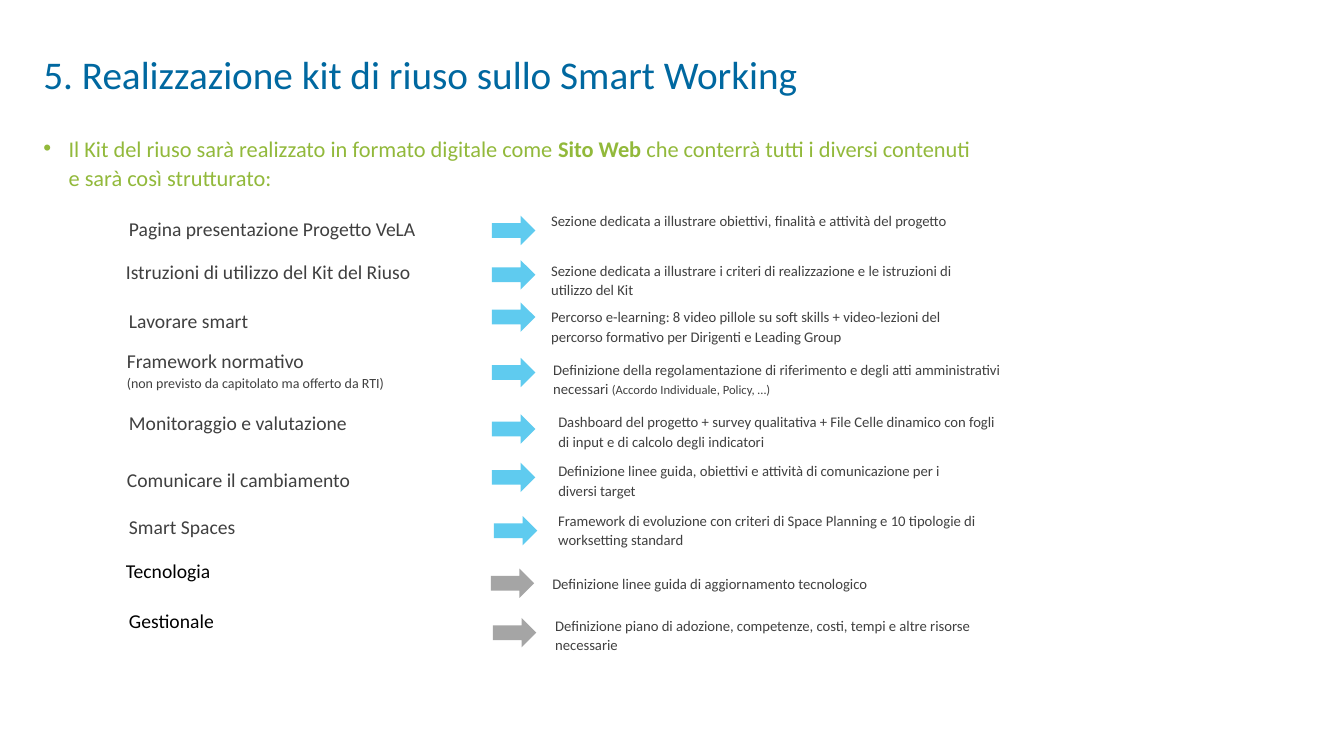
"""Build the slide on the contents of the Smart Working reuse kit."""
from lxml.etree import SubElement
from pptx import Presentation
from pptx.dml.color import RGBColor
from pptx.enum.shapes import MSO_SHAPE as Shape
from pptx.enum.text import MSO_ANCHOR as Anchor, MSO_AUTO_SIZE as AutoSize, PP_ALIGN as Align
from pptx.oxml.ns import qn
from pptx.util import Pt

COLORS = {"title": "0068A0", "intro": "92B93B", "text": "404040",
          "black": "000000", "blue": "5FCBEF", "gray": "A5A5A5"}
FONT = "Calibri"
TITLE = "5. Realizzazione kit di riuso sullo Smart Working"
INTRO = [("Il Kit del riuso sarà realizzato in formato digitale come ", {}),
         ("Sito Web ", {"bold": True}),
         ("che conterrà tutti i diversi contenuti e sarà così strutturato:", {})]

LABELS = [
    ("Pagina presentazione Progetto VeLA", 49, 149.8),
    ("Istruzioni di utilizzo del Kit del Riuso", 46.8, 180.7),
    ("Lavorare smart", 49, 215.3),
    ("Framework normativo", 47.5, 244.1),
    ("Monitoraggio e valutazione", 49, 288),
    ("Comunicare il cambiamento", 47.5, 329),
    ("Smart Spaces", 49, 362.2),
    ("Tecnologia", 46.8, 393.8),
    ("Gestionale", 49, 429.8),
]
LABEL_NOTES = {"Framework normativo": "(non previsto da capitolato ma offerto da RTI)"}
PLANNED = ("Tecnologia", "Gestionale")

ARROWS = [(351.4, 154.1), (351.4, 185.8), (351.4, 216), (351.4, 255.6), (351.4, 295.9),
          (351.4, 330.5), (352.8, 368.6), (350.6, 406.1), (352.1, 441.4)]

DETAILS = [
    ("Sezione dedicata a illustrare obiettivi, finalità e attività del progetto",
     350.6, 146.2, 350),
    ("Sezione dedicata a illustrare i criteri di realizzazione e le istruzioni di "
     "utilizzo del Kit", 350.6, 182.2, 350),
    ("Percorso e-learning: 8 video pillole su soft skills + video-lezioni del "
     "percorso formativo per Dirigenti e Leading Group", 350.6, 215.3, 350),
    ("Definizione della regolamentazione di riferimento e degli atti amministrativi "
     "necessari ", 352.1, 252.7, 370),
    ("Dashboard del progetto + survey qualitativa + File Celle dinamico con fogli "
     "di input e di calcolo degli indicatori", 355.7, 290.2, 370),
    ("Definizione linee guida, obiettivi e attività di comunicazione per i "
     "diversi target", 355.7, 325.4, 348),
    ("Framework di evoluzione con criteri di Space Planning e 10 tipologie di "
     "worksetting standard", 355.7, 360.7, 378.7),
    ("Definizione linee guida di aggiornamento tecnologico", 351.4, 406.1, 370),
    ("Definizione piano di adozione, competenze, costi, tempi e altre risorse "
     "necessarie", 353.5, 435.6, 370),
]
DETAIL_NOTES = {3: "(Accordo Individuale, Policy, …)"}


def add_text(para, text, size=14, color="text", bold=False):
    span = para.add_run()
    span.text = text
    span.font.name = FONT
    span.font.size = Pt(size)
    span.font.bold = bold
    span.font.color.rgb = RGBColor.from_string(COLORS[color])


def place(box, left, top, width, height):
    box.left, box.top, box.width, box.height = Pt(left), Pt(top), Pt(width), Pt(height)


def first_paragraph(box, anchor=Anchor.TOP, spacing=1.1, margin=0, indent=0):
    frame = box.text_frame
    frame.word_wrap = True
    frame.auto_size = AutoSize.NONE
    frame.vertical_anchor = anchor
    para = frame.paragraphs[0]
    para.alignment = Align.LEFT
    para.line_spacing = spacing
    para.space_before = Pt(0)
    properties = para._p.get_or_add_pPr()
    properties.set("marL", str(Pt(margin)))
    properties.set("indent", str(Pt(indent)))
    return para


def add_item(page, left, top, width, height):
    box = page.shapes.add_textbox(Pt(left), Pt(top), Pt(width), Pt(height))
    para = first_paragraph(box, margin=36)
    para.level = 1
    return para


def add_heading(page):
    title, body = page.shapes.title, page.placeholders[1]
    place(title, 23.8, 13, 718.6, 84.2)
    add_text(first_paragraph(title, anchor=Anchor.MIDDLE, spacing=0.9),
             TITLE, size=28, color="title")
    place(body, 23.8, 90.7, 676.8, 337.7)
    para = first_paragraph(body, margin=18, indent=-18)
    properties = para._p.get_or_add_pPr()
    SubElement(properties, qn("a:buFont"), typeface="Arial")
    SubElement(properties, qn("a:buChar"), char="•")
    for text, style in INTRO:
        add_text(para, text, size=16, color="intro", **style)


def add_row(page, index):
    label, left, top = LABELS[index]
    planned = label in PLANNED
    para = add_item(page, left, top, 291.6, 26)
    add_text(para, label, color="black" if planned else "text")
    if label in LABEL_NOTES:
        para.add_line_break()
        SubElement(para._p[-1], qn("a:rPr"), sz="1400")
        add_text(para, LABEL_NOTES[label], size=10)

    left, top = ARROWS[index]
    arrow = page.shapes.add_shape(Shape.RIGHT_ARROW, Pt(left), Pt(top), Pt(31), Pt(21))
    arrow.shadow.inherit = False
    arrow.fill.solid()
    arrow.fill.fore_color.rgb = RGBColor.from_string(COLORS["gray" if planned else "blue"])
    arrow.line.fill.background()

    detail, left, top, width = DETAILS[index]
    para = add_item(page, left, top, width, 26.6)
    add_text(para, detail, size=10.5)
    if index in DETAIL_NOTES:
        add_text(para, DETAIL_NOTES[index], size=9)


def main():
    deck = Presentation()
    deck.slide_width, deck.slide_height = Pt(960), Pt(540)
    page = deck.slides.add_slide(deck.slide_layouts[1])
    add_heading(page)
    for index in range(len(LABELS)):
        add_row(page, index)
    deck.save("out.pptx")


if __name__ == "__main__":
    main()
